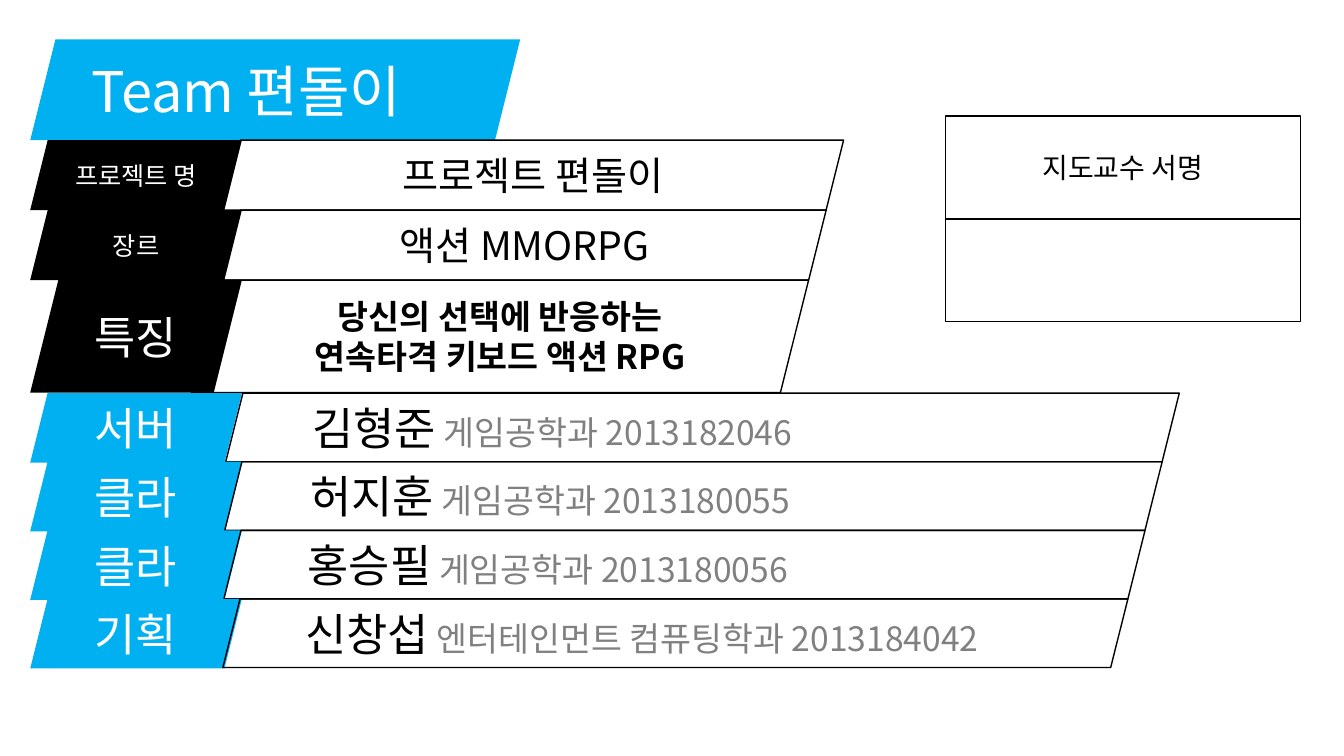
import lxml.etree
import pptx
import pptx.dml.color
import pptx.enum.shapes
import pptx.enum.text
import pptx.oxml.ns
import pptx.util

Pt = pptx.util.Pt
SHAPES = pptx.enum.shapes.MSO_SHAPE
ALIGN = pptx.enum.text.PP_ALIGN
FONT = "Noto Sans CJK KR"
BLACK, WHITE, BLUE, GRAY = "000000", "FFFFFF", "00B0F0", "808080"
SLANT = 0.25  # horizontal shift of the slanted edges per unit of height
LABEL_LEFT, LABEL_WIDTH = 21.6, 151.2
FACTS_TOP, MEMBERS_TOP, MEMBER_PITCH = 100.1, 280.8, 49


def rgb(color):
    return pptx.dml.color.RGBColor.from_string(color)


class TeamSlide:
    def __init__(self, presentation):
        layout = presentation.slide_layouts[5]
        self.slide = presentation.slides.add_slide(layout)

    def add_text(self, frame, paragraphs, align, inset=None):
        """Fill a frame; each paragraph is a list of (text, size, color, bold)."""
        frame.word_wrap = True
        frame.auto_size = pptx.enum.text.MSO_AUTO_SIZE.NONE
        frame.vertical_anchor = pptx.enum.text.MSO_ANCHOR.MIDDLE
        if inset is not None:
            frame.margin_left = frame.margin_right = Pt(inset)
            frame.margin_top = frame.margin_bottom = Pt(inset)
        for number, runs in enumerate(paragraphs):
            paragraph = frame.add_paragraph() if number else frame.paragraphs[0]
            paragraph.alignment = align
            for text, size, color, bold in runs:
                run = paragraph.add_run()
                run.text = text
                run.font.size = Pt(size)
                run.font.bold = bold
                run.font.color.rgb = rgb(color)
                run.font.name = FONT
                east_asian = lxml.etree.SubElement(
                    run.font._element, pptx.oxml.ns.qn("a:ea"))
                east_asian.set("typeface", FONT)

    def panel(self, kind, left, top, width, height, fill=None, line=None):
        shape = self.slide.shapes.add_shape(
            kind, Pt(left), Pt(top), Pt(width), Pt(height))
        shape.shadow.inherit = False
        if fill:
            shape.fill.solid()
            shape.fill.fore_color.rgb = rgb(fill)
        else:
            shape.fill.background()
        if line:
            shape.line.color.rgb = rgb(line)
            shape.line.width = Pt(1)
        else:
            shape.line.fill.background()
        return shape

    def title(self, text):
        banner = self.panel(SHAPES.PARALLELOGRAM, LABEL_LEFT, 28.1, 350, 72, BLUE)
        title = self.slide.shapes.title
        title.left, title.top, title.width, title.height = (
            Pt(58.3), Pt(28.1), Pt(276.6), Pt(72))
        self.add_text(title.text_frame, [[(text, 40, WHITE, False)]], ALIGN.LEFT)
        title.element.addprevious(banner.element)

    def label(self, text, size, top, height, fill):
        cell = self.panel(SHAPES.PARALLELOGRAM, LABEL_LEFT, top,
                          LABEL_WIDTH, height, fill)
        self.add_text(cell.text_frame, [[(text, size, WHITE, False)]], ALIGN.CENTER)

    def value(self, paragraphs, left, right, top, height, align, inset=None):
        cell = self.panel(SHAPES.PARALLELOGRAM, left, top,
                          right - left, height, line=BLACK)
        self.add_text(cell.text_frame, paragraphs, align, inset)

    def signature_box(self, text, left, top, width, height):
        blank = self.panel(SHAPES.RECTANGLE, left, top + height,
                           width, height, WHITE, BLACK)
        heading = self.panel(SHAPES.RECTANGLE, left, top,
                             width, height, line=BLACK)
        self.add_text(heading.text_frame, [[(text, 20, BLACK, False)]], ALIGN.CENTER)
        self.slide.shapes.add_group_shape([blank, heading])


def main():
    presentation = pptx.Presentation()
    presentation.slide_width, presentation.slide_height = Pt(960), Pt(540)
    team = TeamSlide(presentation)
    team.title("Team 편돌이")

    facts = [
        ("프로젝트 명", 18, ["프로젝트 편돌이"], 28, False, 159.1, 50, None),
        ("장르", 18, ["액션 MMORPG"], 28, False, 159.1, 50, None),
        ("특징", 32, ["당신의 선택에 반응하는", "연속타격 키보드 액션 RPG"],
         24, True, 136.8, 80.3, 0),
    ]
    top = FACTS_TOP
    for label, label_size, lines, size, bold, left, height, inset in facts:
        right = 602.6 - SLANT * (top - FACTS_TOP)
        team.label(label, label_size, top, height, BLACK)
        team.value([[(line, size, BLACK, bold)] for line in lines],
                   left, right, top, height, ALIGN.CENTER, inset)
        top += height

    members = [
        ("서버", "김형준", "게임공학과 2013182046"),
        ("클라", "허지훈", "게임공학과 2013180055"),
        ("클라", "홍승필", "게임공학과 2013180056"),
        ("기획", "신창섭", "엔터테인먼트 컴퓨팅학과 2013184042"),
    ]
    for index, (role, name, department) in enumerate(members):
        offset = MEMBER_PITCH * index
        top = MEMBERS_TOP + offset
        team.label(role, 32, top, 49.7, BLUE)
        team.value([[(name, 32, BLACK, False),
                     (" " + department, 24, GRAY, False)]],
                   161.3 - 0.7 * index, 842.4 - SLANT * offset,
                   top, MEMBER_PITCH, ALIGN.LEFT, 0)

    team.signature_box("지도교수 서명", 675.4, 82.8, 253.4, 73.5)
    presentation.save("out.pptx")


if __name__ == "__main__":
    main()
